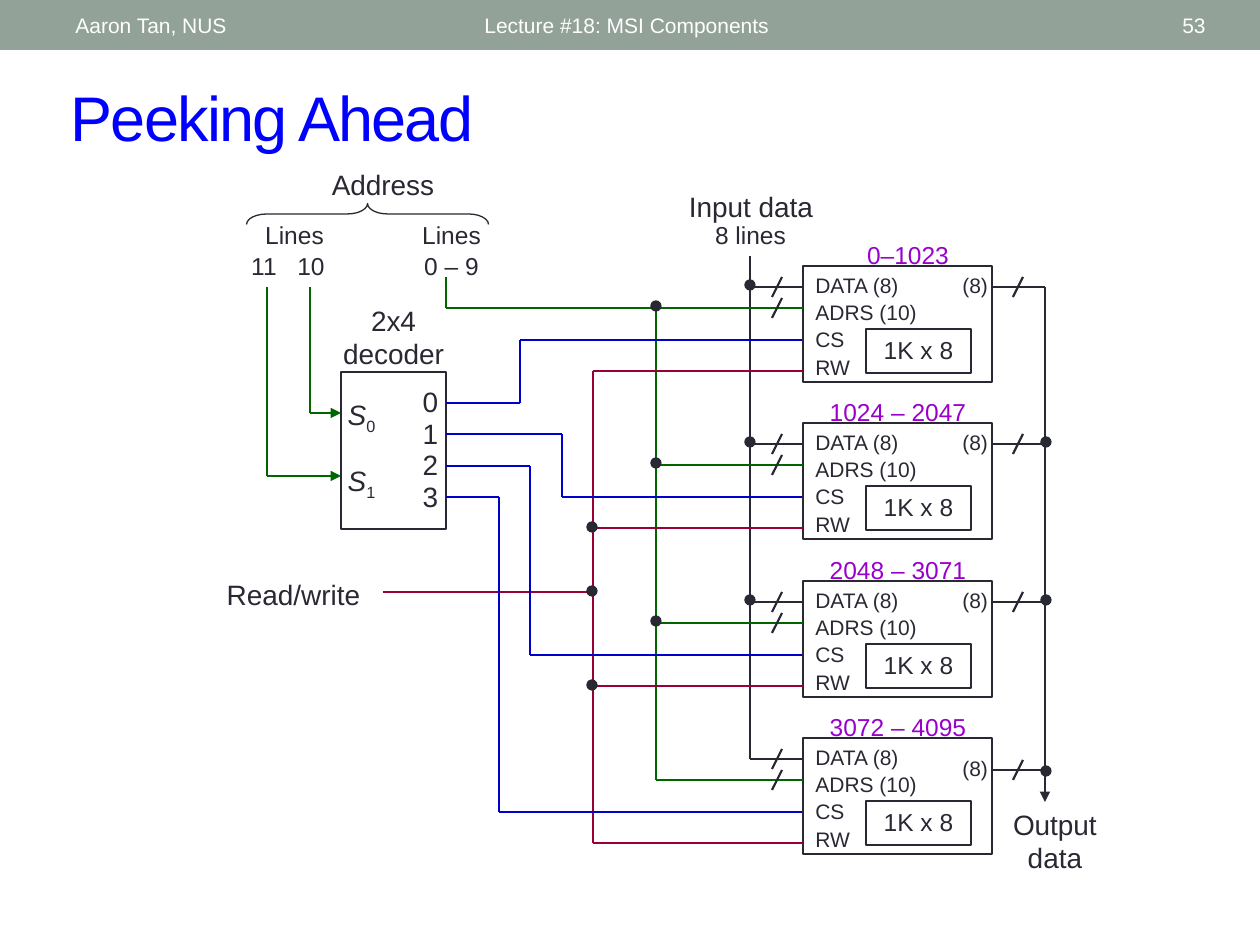
from dataclasses import dataclass
from itertools import pairwise

from pptx import Presentation
from pptx.dml.color import RGBColor
from pptx.enum.shapes import MSO_CONNECTOR, MSO_SHAPE
from pptx.enum.text import MSO_ANCHOR as ANCHOR, PP_ALIGN as ALIGN
from pptx.oxml.ns import qn
from pptx.util import Emu, Pt
from lxml.etree import SubElement


@dataclass(frozen=True)
class Theme:
    font: str = "Arial"
    bar: str = "93A299"
    white: str = "FFFFFF"
    title: str = "0000FF"
    ink: str = "292934"
    address: str = "006600"
    select: str = "0000CC"
    control: str = "990033"
    span: str = "9900CC"
    title_size: int = 36
    label: int = 16
    note: int = 14
    small: int = 12
    wire: float = 1.5
    fine: float = 1.25
    hair: float = 0.75


T = Theme()
PX_PER_INCH = 126

# Columns shared by wires and blocks, in px
DECODER_X, DECODER_RIGHT = 341, 446
RW_X, ADRS_X, DATA_X = 593, 656, 750
CHIP_X, CHIP_RIGHT, OUT_X = 803, 992, 1045
CHIP_SPANS = ["0–1023", "1024 – 2047", "2048 – 3071", "3072 – 4095"]
SELECT_X = [520, 562, 530, 499]


def px(n):
    return Emu(round(n * 914400 / PX_PER_INCH))


def rgb(color):
    return RGBColor.from_string(color)


def chip_top(i):
    return 266 + i * 315 // 2


def style(p, size, color, align=ALIGN.CENTER):
    p.alignment = align
    p.font.name, p.font.size = T.font, Pt(size)
    p.font.color.rgb = rgb(color)


def write(s, lines, size, color=T.ink, align=ALIGN.CENTER, anchor=ANCHOR.TOP,
          before=0, spacing=None):
    tf = s.text_frame
    tf.word_wrap = True
    tf.vertical_anchor = anchor
    for i, line in enumerate(lines):
        p = tf.add_paragraph() if i else tf.paragraphs[0]
        p.add_run().text = line
        style(p, size, color, align)
        p.space_before = Pt(before)
        if spacing:
            p.line_spacing = spacing


def text(sl, box, lines, size, **options):
    s = sl.shapes.add_textbox(*map(px, box))
    write(s, lines, size, **options)
    return s


def shape(sl, kind, box, fill=None, line=None, width=T.wire):
    s = sl.shapes.add_shape(kind, *map(px, box))
    s.shadow.inherit = False
    if fill:
        s.fill.solid()
        s.fill.fore_color.rgb = rgb(fill)
    else:
        s.fill.background()
    if line:
        s.line.color.rgb = rgb(line)
        s.line.width = Pt(width)
    else:
        s.line.fill.background()
    return s


def wire(sl, points, color=T.ink, width=T.wire, arrow=False):
    for start, end in pairwise(points):
        s = sl.shapes.add_connector(MSO_CONNECTOR.STRAIGHT, *map(px, start + end))
        s.line.color.rgb = rgb(color)
        s.line.width = Pt(width)
        if arrow and end == points[-1]:
            SubElement(s.line._get_or_add_ln(), qn("a:tailEnd"), type="triangle")
        SubElement(s._element.spPr, qn("a:effectLst"))


def slash(sl, x, y):
    wire(sl, [(x + 5, y - 10), (x - 5, y + 10)], width=T.fine)


def dot(sl, x, y):
    shape(sl, MSO_SHAPE.OVAL, (x - 5, y - 5, 10, 10), T.ink, T.ink, T.hair)


def header(sl):
    shape(sl, MSO_SHAPE.RECTANGLE, (0, 0, 1260, 50), T.bar)
    for x, w, line, align in [(63, 399, "Aaron Tan, NUS", ALIGN.LEFT),
                              (472, 567, "Lecture #18: MSI Components", ALIGN.LEFT),
                              (1099, 119, "53", ALIGN.RIGHT)]:
        text(sl, (x, 3, w, 45), [line], T.small, color=T.white, align=align,
             anchor=ANCHOR.MIDDLE)


def title(sl, words):
    s = sl.shapes.title
    s.left, s.top, s.width, s.height = map(px, (58, 72, 1160, 88))
    write(s, [words], T.title_size, T.title, ALIGN.LEFT, ANCHOR.MIDDLE)
    s.text_frame.paragraphs[0].runs[0]._r.get_or_add_rPr().set("spc", "-100")


def chip(sl, i):
    y = chip_top(i)
    last = i == len(CHIP_SPANS) - 1
    data, adrs, rw = y + 21, y + 42, y + 105
    out = y + (32 if last else 21)

    # Block and its labels
    shape(sl, MSO_SHAPE.RECTANGLE, (CHIP_X, y, 189, 116), line=T.ink)
    core = shape(sl, MSO_SHAPE.RECTANGLE, (866, y + 63, 105, 44), line=T.ink, width=T.fine)
    write(core, ["1K x 8"], T.note)
    text(sl, (CHIP_X, y, 168, 117), ["DATA (8)", "ADRS (10)", "CS", "RW"], T.small,
         align=ALIGN.LEFT, before=1.2)
    text(sl, (950, out - 21, 53, 38), ["(8)"], T.small, align=ALIGN.LEFT)
    text(sl, (824, y - 32, 168, 42) if i == 0 else (814, y - 32, 168, 42),
         [CHIP_SPANS[i]], T.note, color=T.span)

    # Branches from the buses
    wire(sl, [(DATA_X, data), (CHIP_X, data)])
    wire(sl, [(ADRS_X, adrs), (CHIP_X, adrs)], T.address)
    wire(sl, [(RW_X, rw), (CHIP_X, rw)], T.control)
    wire(sl, [(CHIP_RIGHT, out), (OUT_X, out)])
    slash(sl, 777, data)
    slash(sl, 777, adrs)
    slash(sl, 1018, out)

    # Junctions
    if not last:
        dot(sl, DATA_X, data - 2)
        dot(sl, ADRS_X, adrs - 2)
    if 0 < i < 3:
        dot(sl, RW_X - 1, rw - 1)
    if i:
        dot(sl, OUT_X + 1, out + (1 if last else -2))


def buses(sl):
    first, last = chip_top(0), chip_top(3)
    wire(sl, [(DATA_X, 256), (DATA_X, last + 21)])
    wire(sl, [(446, 277), (446, first + 42), (ADRS_X, first + 42),
              (ADRS_X, last + 42)], T.address)
    wire(sl, [(RW_X, first + 105), (RW_X, last + 105)], T.control)
    wire(sl, [(383, 592), (RW_X, 592)], T.control)
    dot(sl, RW_X - 1, 591)
    wire(sl, [(OUT_X, first + 21), (OUT_X, 802)], arrow=True)


def decoder(sl):
    shape(sl, MSO_SHAPE.RECTANGLE, (DECODER_X, 372, 105, 157), line=T.ink)
    text(sl, (404, 382, 53, 135), list("0123"), T.label, before=0.9, spacing=0.9)

    # Select inputs with subscripts
    s = text(sl, (330, 392, 63, 103), ["S", "S"], T.label, spacing=0.9)
    for p, index in zip(s.text_frame.paragraphs, "01"):
        p.runs[0].font.italic = True
        r = p.add_run()
        r.text = index
        r._r.get_or_add_rPr().set("baseline", "-25000")
    p.space_before = Pt(18)
    for x, y in [(310, 413), (267, 476)]:
        wire(sl, [(x, 287), (x, y), (DECODER_X, y)], T.address, arrow=True)

    # Outputs to the chip selects
    for i, x in enumerate(SELECT_X):
        y, cs = 403 + i * 63 // 2, chip_top(i) + 74
        wire(sl, [(DECODER_RIGHT, y), (x, y), (x, cs), (CHIP_X, cs)], T.select)


def labels(sl):
    for box, line, size in [((299, 161, 168, 47), "Address", T.label),
                            ((247, 214, 95, 42), "Lines", T.note),
                            ((404, 214, 95, 42), "Lines", T.note),
                            ((234, 245, 60, 42), "11", T.note),
                            ((281, 245, 60, 42), "10", T.note),
                            ((404, 245, 95, 42), "0 – 9", T.note),
                            ((667, 183, 168, 47), "Input data", T.label),
                            ((698, 214, 105, 42), "8 lines", T.note),
                            ((320, 297, 147, 81), "2x4 decoder", T.label),
                            ((204, 571, 179, 47), "Read/write", T.label),
                            ((992, 801, 126, 81), "Output data", T.label)]:
        text(sl, box, [line], size)
    brace = shape(sl, MSO_SHAPE.LEFT_BRACE, (357, 93, 21, 242), line=T.ink, width=T.hair)
    brace.rotation = 90
    brace.adjustments[0] = 0.96


def main():
    prs = Presentation()
    prs.slide_width, prs.slide_height = px(1260), px(945)
    sl = prs.slides.add_slide(prs.slide_layouts[5])
    header(sl)
    title(sl, "Peeking Ahead")
    buses(sl)
    decoder(sl)
    for i in range(len(CHIP_SPANS)):
        chip(sl, i)
    labels(sl)
    prs.save("out.pptx")


if __name__ == "__main__":
    main()
